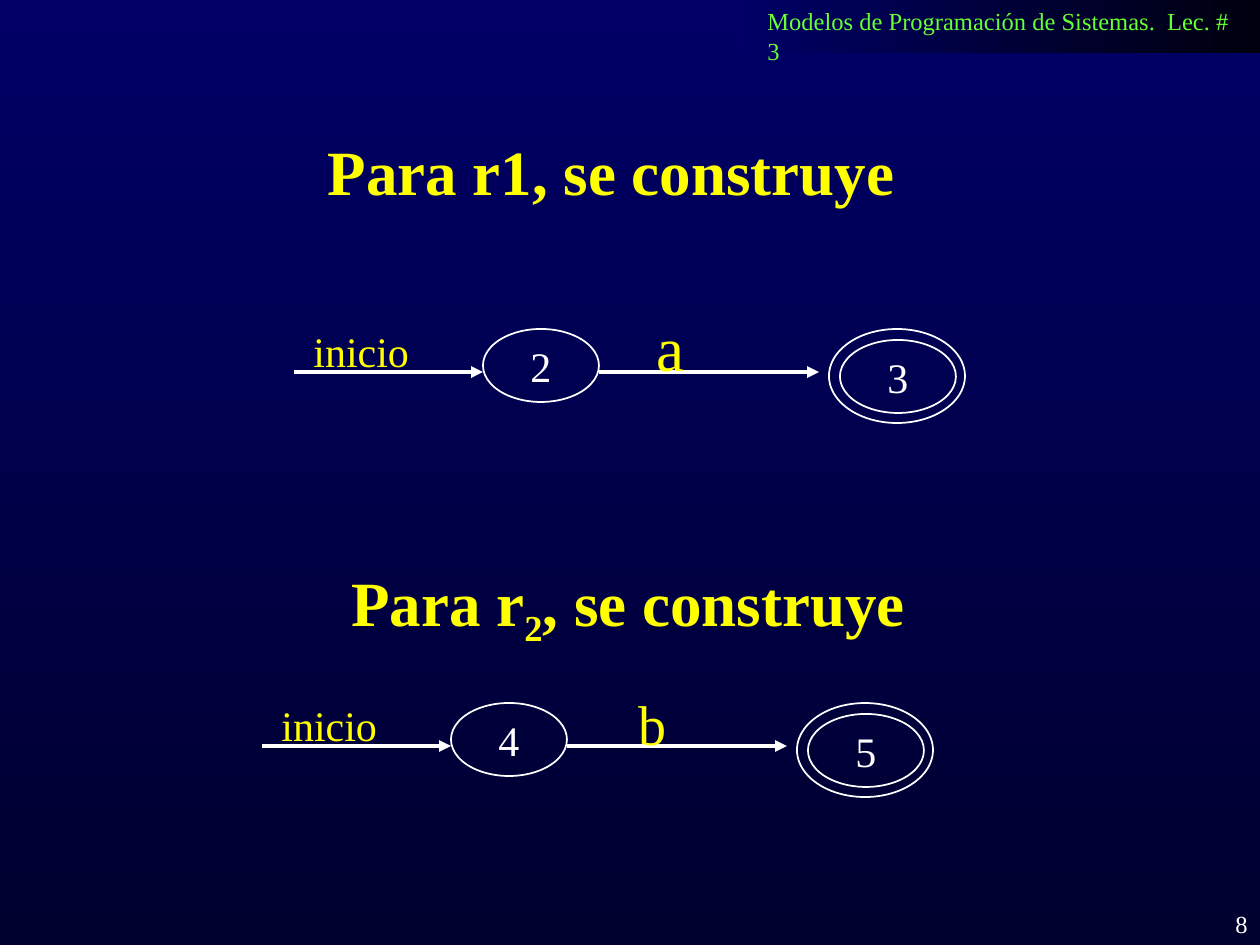
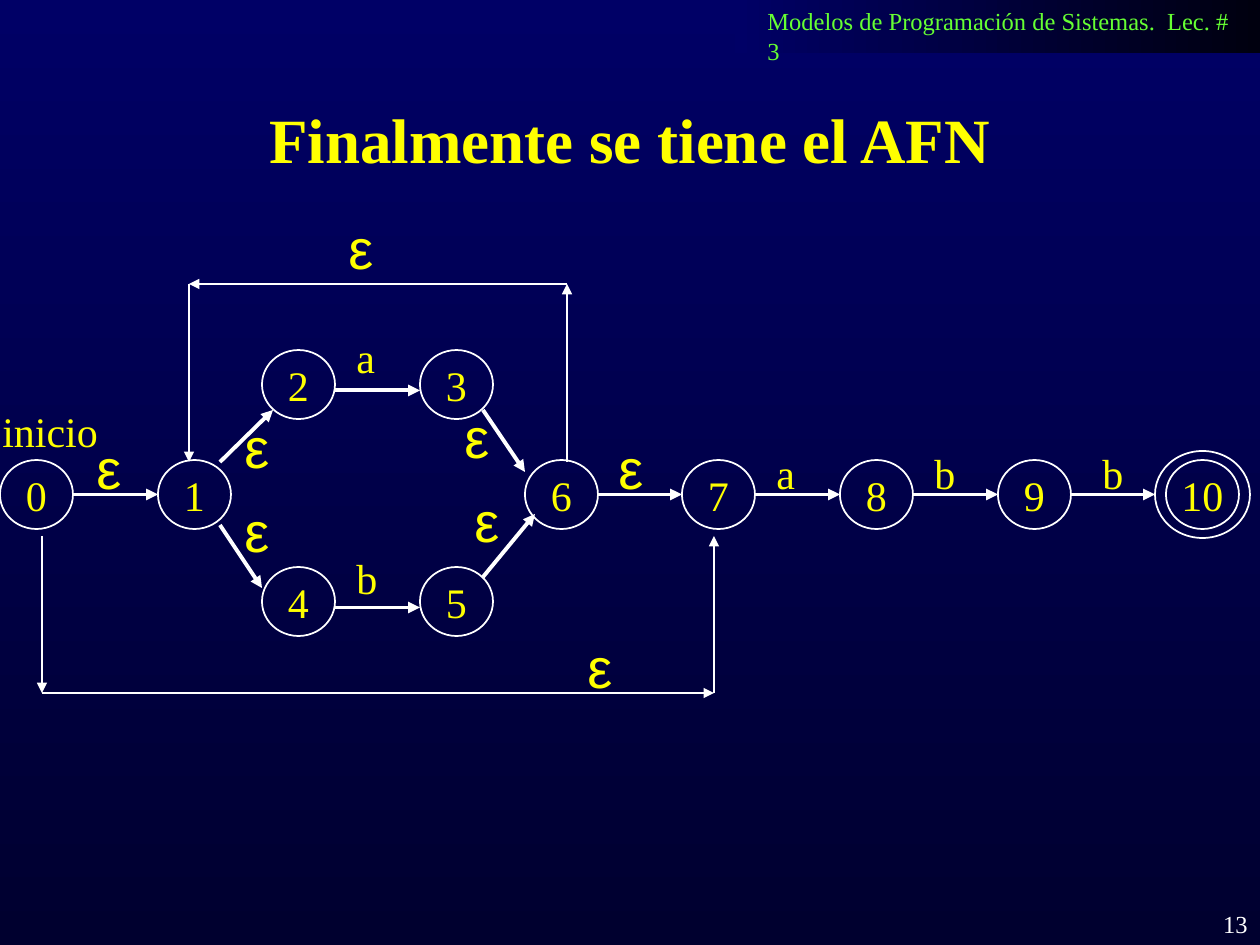
from lxml import etree
from pptx import Presentation
from pptx import util as u
from pptx.dml.color import RGBColor
from pptx.enum import shapes, text
from pptx.oxml.ns import qn

EMU_PER_INCH, PX_PER_INCH = 914400, 126
SERIF, SANS = "Times New Roman", "Arial"
WHITE = RGBColor(0xFF, 0xFF, 0xFF)
YELLOW = RGBColor(0xFF, 0xFF, 0x00)
GREEN = RGBColor(0x66, 0xFF, 0x33)
BLUE = RGBColor(0x00, 0x00, 0x66)
DARK_BLUE = RGBColor(0x00, 0x00, 0x2F)
NEAR_BLACK = RGBColor(0x00, 0x00, 0x0F)
LEFT, CENTER, RIGHT = text.PP_ALIGN.LEFT, text.PP_ALIGN.CENTER, text.PP_ALIGN.RIGHT


def px(*lengths):
    return [u.Emu(round(length * EMU_PER_INCH / PX_PER_INCH)) for length in lengths]


# Shared helpers
def set_gradient(fill, start, end, angle):
    fill.gradient()
    fill.gradient_angle = angle
    for stop, color in zip(fill.gradient_stops, (start, end)):
        stop.color.rgb = color


def format_paragraph(paragraph, size, color, align=LEFT, font=SERIF, bold=False):
    paragraph.alignment = align
    paragraph.font.name = font
    paragraph.font.size = u.Pt(size)
    paragraph.font.color.rgb = color
    paragraph.font.bold = bold


def add_text(slide, box, words, size, color, wrap=False, **style):
    shape = slide.shapes.add_textbox(*px(*box))
    frame = shape.text_frame
    frame.word_wrap = wrap
    frame.text = words
    format_paragraph(frame.paragraphs[0], size, color, **style)
    return frame.paragraphs[0]


def add_ellipse(slide, box, name="", color=WHITE):
    shape = slide.shapes.add_shape(shapes.MSO_SHAPE.OVAL, *px(*box))
    shape.shadow.inherit = False
    shape.fill.background()
    shape.line.color.rgb = WHITE
    shape.line.width = u.Pt(1)
    if name:
        frame = shape.text_frame
        frame.word_wrap = False
        frame.vertical_anchor = text.MSO_ANCHOR.MIDDLE
        frame.text = name
        format_paragraph(frame.paragraphs[0], 24, color, CENTER)


def add_arrow(slide, start, end, width=2.25):
    connector = slide.shapes.add_connector(
        shapes.MSO_CONNECTOR.STRAIGHT, *px(*start, *end))
    connector.line.color.rgb = WHITE
    connector.line.width = u.Pt(width)
    etree.SubElement(connector.line._get_or_add_ln(), qn("a:tailEnd"), type="triangle")
    etree.SubElement(connector._element.spPr, qn("a:effectLst"))


def add_slide(presentation, title, title_box, align, number):
    slide = presentation.slides.add_slide(presentation.slide_layouts[5])
    # Header band
    band = slide.shapes.add_shape(shapes.MSO_SHAPE.RECTANGLE, *px(735, 0, 525, 53))
    band.shadow.inherit = False
    band.line.fill.background()
    set_gradient(band.fill, NEAR_BLACK, BLUE, 180)
    add_text(slide, (755, 0, 505, 43),
             "Modelos de Programación de Sistemas.  Lec. # 3", 14, GREEN)
    # Title
    shape = slide.shapes.title
    shape.left, shape.top, shape.width, shape.height = px(*title_box)
    frame = shape.text_frame
    frame.text = title
    frame.auto_size = text.MSO_AUTO_SIZE.NONE
    frame.vertical_anchor = text.MSO_ANCHOR.TOP
    format_paragraph(frame.paragraphs[0], 36, YELLOW, align, bold=True)
    # Slide number
    add_text(slide, (998, 903, 262, 42), str(number), 14, WHITE, wrap=True, align=RIGHT)
    return slide


# Two-state automaton: start arrow, state, labelled arrow, accepting state
def add_basic_automaton(slide, left, top, first, last, symbol, symbol_size, symbol_box):
    def place(x, y, *size):
        return (left + x, top + y, *size)

    add_ellipse(slide, place(535, 0, 136, 94))
    add_ellipse(slide, place(189, 0, 116, 73), first)
    add_ellipse(slide, place(546, 11, 116, 73), last)
    add_arrow(slide, place(0, 43), place(189, 43))
    add_arrow(slide, place(305, 43), place(525, 43))
    add_text(slide, place(7, -10, 137, 63), "inicio", 24, YELLOW)
    add_text(slide, place(*symbol_box), symbol, symbol_size, YELLOW)


# Complete automaton
def add_full_automaton(slide, left, top):
    state_width, state_height = 73, 69
    upper, middle, lower = 143, 253, 360
    states = {"0": (0, middle), "1": (158, middle), "2": (262, upper),
              "3": (420, upper), "4": (262, lower), "5": (420, lower),
              "6": (525, middle), "7": (682, middle), "8": (840, middle),
              "9": (998, middle), "10": (1166, middle)}

    def place(x, y, *size):
        return (left + x, top + y, *size)

    # States
    for name, (x, y) in states.items():
        add_ellipse(slide, place(x, y, state_width, state_height), name, YELLOW)
    ring_left = 1155
    add_ellipse(slide, place(ring_left, 244, 95, 87))

    # Horizontal transitions
    for source, target, drop in (("0", "1", 0), ("2", "3", 6), ("4", "5", 6),
                                 ("6", "7", 0), ("7", "8", 0), ("8", "9", 0),
                                 ("9", "10", 0)):
        x, y = states[source]
        end = ring_left if target == "10" else states[target][0]
        y += state_height / 2 + drop
        add_arrow(slide, place(x + state_width, y), place(end, y))

    # Slanted transitions
    for start, end in (((220, 255), (273, 203)), ((220, 318), (262, 381)),
                       ((483, 203), (525, 265)), ((483, 370), (535, 307))):
        add_arrow(slide, place(*start), place(*end))

    # Bypass below and loop above
    for corners in (((42, 329), (42, 486), (714, 486), (714, 329)),
                    ((567, 255), (567, 77), (189, 77), (189, 255))):
        for start, end in zip(corners, corners[1:]):
            add_arrow(slide, place(*start), place(*end), 1.5)

    # Labels
    add_text(slide, place(-10, 192, 137, 63), "inicio", 24, YELLOW)
    for symbol, x, y in (("a", 344, 118), ("b", 344, 339), ("a", 764, 234),
                         ("b", 922, 234), ("b", 1090, 234)):
        add_text(slide, place(x, y, 50, 63), symbol, 24, YELLOW)
    for x, y in ((336, 0), (84, 220), (232, 199), (232, 283), (452, 189),
                 (462, 273), (606, 220), (575, 419)):
        add_text(slide, place(x, y, 49, 81), "ε", 32, YELLOW, font=SANS)


def build_basic_slide(presentation):
    slide = add_slide(presentation, "Para r1, se construye", (315, 126, 626, 164), LEFT, 8)
    add_basic_automaton(slide, 294, 329, "2", "3", "a", 36, (350, -27, 60, 88))
    add_basic_automaton(slide, 262, 703, "4", "5", "b", 32, (364, -20, 59, 81))
    # Second heading, with a subscript
    heading = add_text(slide, (315, 557, 626, 175), "Para r", 36, YELLOW,
                       wrap=True, align=CENTER, bold=True)
    subscript = heading.add_run()
    subscript.text = "2"
    subscript._r.get_or_add_rPr().set("baseline", "-25000")
    heading.add_run().text = ", se construye"


def build_final_slide(presentation):
    slide = add_slide(presentation, "Finalmente se tiene el AFN", (63, 94, 1134, 88), CENTER, 13)
    add_full_automaton(slide, 0, 207)


def main():
    presentation = Presentation()
    presentation.slide_width, presentation.slide_height = px(1260, 945)
    set_gradient(presentation.slide_master.background.fill, BLUE, DARK_BLUE, 270)
    build_basic_slide(presentation)
    build_final_slide(presentation)
    presentation.save("out.pptx")


if __name__ == "__main__":
    main()
